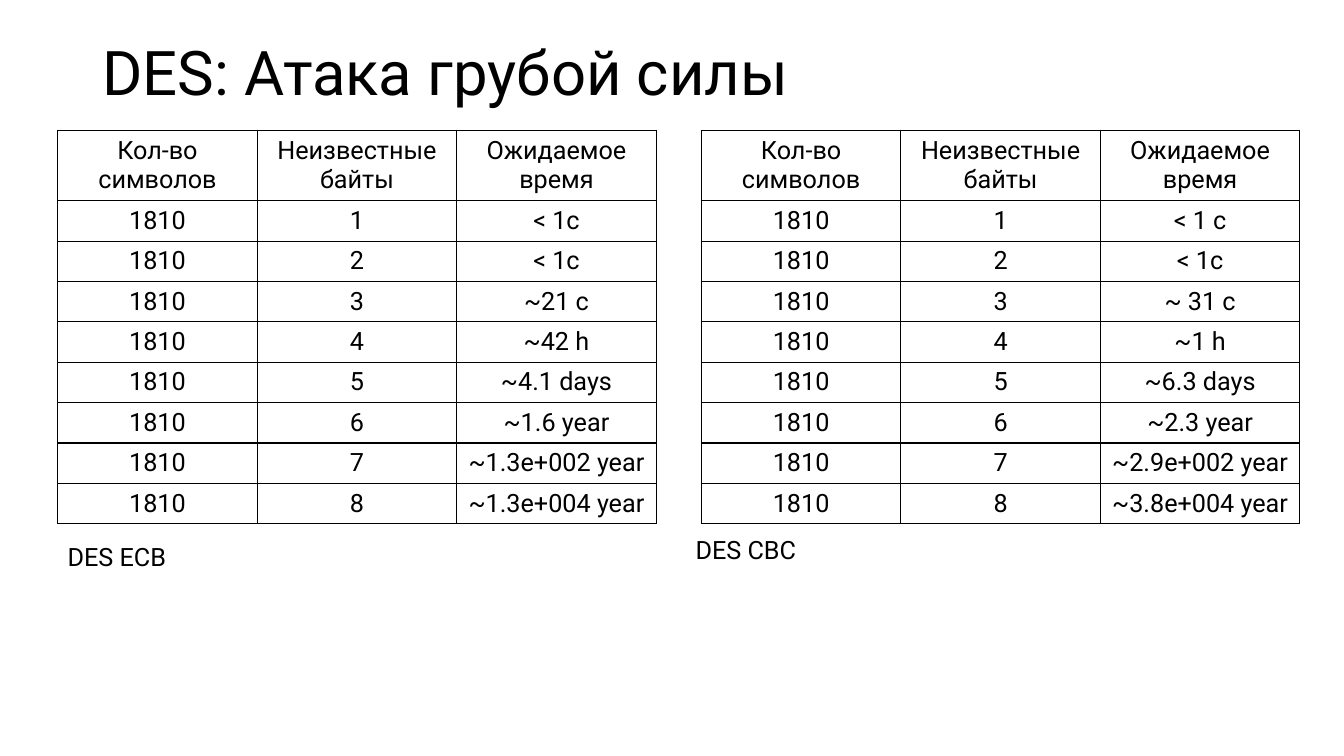
from lxml import etree
from pptx import Presentation
from pptx import util as u
from pptx.dml.color import RGBColor
from pptx.enum import text as t
from pptx.oxml import ns

PX = 9525  # EMU per px, 96 px to the inch
BLACK = RGBColor(0x00, 0x00, 0x00)
FONT = "Roboto"

HEADINGS = ("Кол-во символов", "Неизвестные байты", "Ожидаемое время")
SYMBOL_COUNT = "1810"
ECB_TIMES = ("< 1c", "< 1c", "~21 c", "~42 h", "~4.1 days",
             "~1.6 year", "~1.3e+002 year", "~1.3e+004 year")
CBC_TIMES = ("< 1 c", "< 1c", "~ 31 c", "~1 h", "~6.3 days",
             "~2.3 year", "~2.9e+002 year", "~3.8e+004 year")

TABLE_TOP, COLUMN_WIDTH = 124, 190
HEADING_HEIGHT, ROW_HEIGHT = 66, 38


def px(*lengths):
    return [u.Emu(length * PX) for length in lengths]


def write(frame, wording, size):
    paragraph = frame.paragraphs[0]
    paragraph.text = wording
    paragraph.font.name = FONT
    paragraph.font.size = u.Pt(size)
    paragraph.font.color.rgb = BLACK
    return paragraph


def add_label(slide, wording, box, size=18, anchor=t.MSO_ANCHOR.TOP):
    frame = slide.shapes.add_textbox(*px(*box)).text_frame
    frame.word_wrap = True
    frame.vertical_anchor = anchor
    return write(frame, wording, size)


def add_borders(cell):
    properties = cell._tc.get_or_add_tcPr()
    for position, side in enumerate(("lnL", "lnR", "lnT", "lnB")):
        line = etree.Element(ns.qn(f"a:{side}"), w=str(u.Pt(1)))
        fill = etree.SubElement(line, ns.qn("a:solidFill"))
        etree.SubElement(fill, ns.qn("a:srgbClr"), val=str(BLACK))
        properties.insert(position, line)


def add_time_table(slide, left, times):
    rows = [HEADINGS]
    rows += [(SYMBOL_COUNT, str(unknown), time)
             for unknown, time in enumerate(times, 1)]
    width = COLUMN_WIDTH * len(HEADINGS)
    height = HEADING_HEIGHT + ROW_HEIGHT * len(times)
    table = slide.shapes.add_table(
        len(rows), len(HEADINGS), *px(left, TABLE_TOP, width, height)).table
    table.first_row = table.horz_banding = False
    for column in table.columns:
        column.width = u.Emu(COLUMN_WIDTH * PX)
    for r, row in enumerate(rows):
        table.rows[r].height = u.Emu((ROW_HEIGHT if r else HEADING_HEIGHT) * PX)
        for c, wording in enumerate(row):
            cell = table.cell(r, c)
            cell.fill.background()
            cell.vertical_anchor = t.MSO_ANCHOR.MIDDLE
            write(cell.text_frame, wording, 18).alignment = t.PP_ALIGN.CENTER
            add_borders(cell)


def main():
    deck = Presentation()
    deck.slide_width, deck.slide_height = px(1280, 720)
    slide = deck.slides.add_slide(deck.slide_layouts[6])

    # Title
    title = add_label(slide, "DES: Атака грубой силы", (88, 2, 1104, 139),
                      44, t.MSO_ANCHOR.MIDDLE)
    title.line_spacing = 0.9

    # Expected attack times for each mode
    add_time_table(slide, 55, ECB_TIMES)
    add_time_table(slide, 668, CBC_TIMES)

    # Mode captions
    add_label(slide, "DES ECB", (55, 511, 409, 38))
    add_label(slide, "DES CBC", (653, 504, 409, 38))

    deck.save("out.pptx")


if __name__ == "__main__":
    main()
